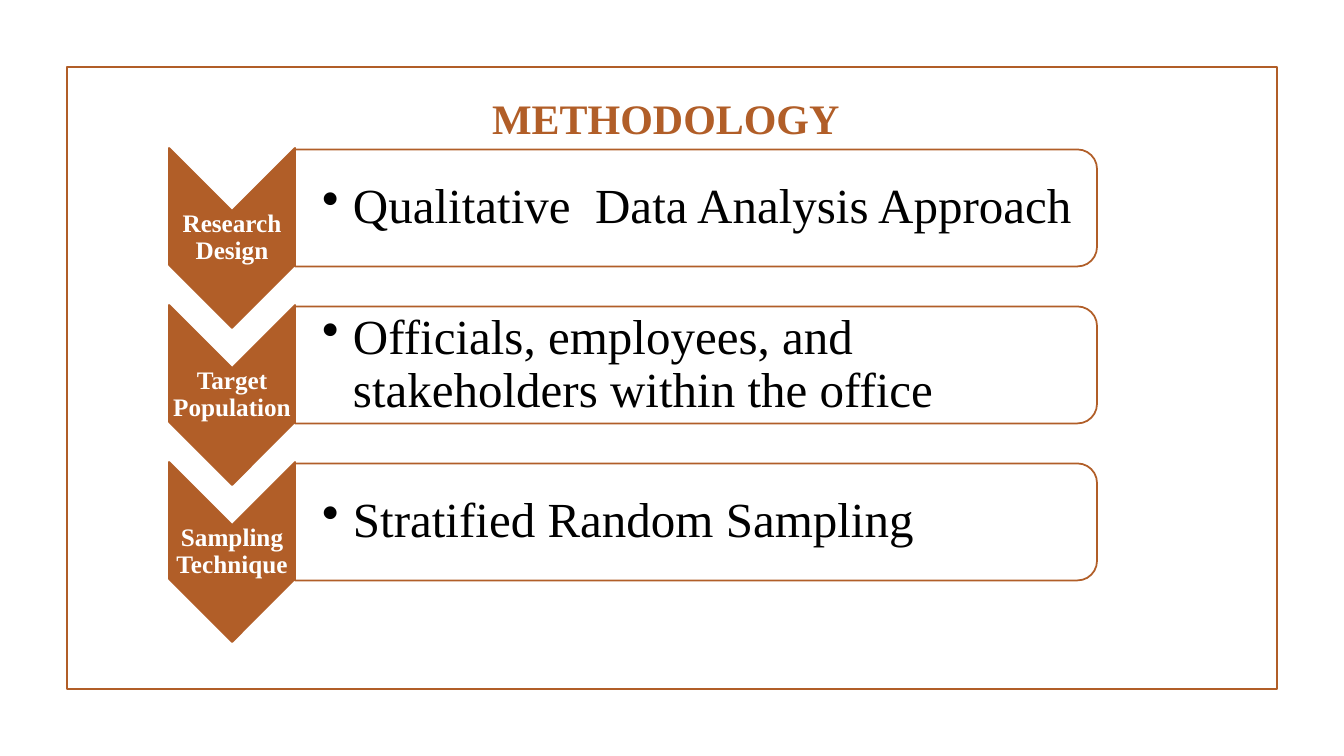
from dataclasses import dataclass

from lxml.etree import SubElement
from pptx import Presentation
from pptx.dml.color import RGBColor
from pptx.enum.shapes import MSO_SHAPE
from pptx.enum.text import MSO_ANCHOR, MSO_AUTO_SIZE, PP_ALIGN
from pptx.oxml.ns import qn
from pptx.util import Pt

TITLE = "METHODOLOGY"
STEPS = [
    ("Research Design", "Qualitative  Data Analysis Approach"),
    ("Target Population", "Officials, employees, and stakeholders within the office"),
    ("Sampling Technique", "Stratified Random Sampling"),
]


@dataclass(frozen=True)
class Theme:
    """Colours, font and type sizes of the slide."""
    accent: RGBColor = RGBColor(0xB1, 0x5E, 0x28)
    white: RGBColor = RGBColor(0xFF, 0xFF, 0xFF)
    black: RGBColor = RGBColor(0, 0, 0)
    font: str = "Times New Roman"
    title: int = 30
    label: int = 18
    body: int = 35
    line: float = 1.25


THEME = Theme()
SLIDE_SIZE = (1344, 756)
FRAME = (67, 67, 1210, 622)
TITLE_BOX = (368, 87, 591, 61)
FIRST_CENTRE, PITCH = 208, 157
COLUMN_LEFT, COLUMN_WIDTH = 169, 126
CHEVRON_LENGTH, CHEVRON_DROP = 180, 30
PANEL_LEFT, PANEL_WIDTH, PANEL_HEIGHT = 295, 802, 117
LABEL_HEIGHT, BODY_WIDTH, BODY_HEIGHT = 53, 797, 105
BODY_INSET, BULLET_INDENT = 27, 31


def px(length):
    """Turn px into EMU."""
    return round(length * 914400 / 100.8)


def add_outline(slide, kind, box, fill=None, opacity=100, turned=False):
    """Add an outlined shape that covers the box, turned by a quarter if asked."""
    left, top, width, height = box
    if turned:
        left, top = left + (width - height) / 2, top + (height - width) / 2
        width, height = height, width
    shape = slide.shapes.add_shape(kind, px(left), px(top), px(width), px(height))
    shape.rotation = 90 if turned else 0
    shape.shadow.inherit = False
    shape.line.color.rgb = THEME.accent
    shape.line.width = Pt(THEME.line)
    if fill is None:
        shape.fill.background()
    else:
        shape.fill.solid()
        shape.fill.fore_color.rgb = fill
    if opacity < 100:
        colour = shape.fill._xPr.find(qn("a:solidFill"))[0]
        SubElement(colour, qn("a:alpha"), val=str(opacity * 1000))


def write(shape, text, *, size, color, bold=False, align=PP_ALIGN.LEFT,
          spacing=0.9, inset=1, left_inset=1, bullet=False):
    """Put formatted text into a shape."""
    frame = shape.text_frame
    frame.word_wrap = True
    frame.auto_size = MSO_AUTO_SIZE.NONE
    frame.vertical_anchor = MSO_ANCHOR.MIDDLE
    frame.margin_left = px(left_inset)
    frame.margin_top = frame.margin_right = frame.margin_bottom = px(inset)
    paragraph = frame.paragraphs[0]
    paragraph.alignment = align
    paragraph.line_spacing = spacing
    if bullet:
        properties = paragraph._p.get_or_add_pPr()
        properties.set("marL", str(px(BULLET_INDENT)))
        properties.set("indent", str(-px(BULLET_INDENT)))
        SubElement(properties, qn("a:buChar"), char="•")
    run = paragraph.add_run()
    run.text = text
    run.font.name = THEME.font
    run.font.size = Pt(size)
    run.font.bold = bold
    run.font.color.rgb = color


def add_step(slide, centre, label, body):
    """Add one chevron with its label and its panel of text."""
    chevron_top = centre + CHEVRON_DROP - CHEVRON_LENGTH / 2
    add_outline(slide, MSO_SHAPE.CHEVRON,
                (COLUMN_LEFT, chevron_top, COLUMN_WIDTH, CHEVRON_LENGTH),
                THEME.accent, turned=True)
    label_box = slide.shapes.add_textbox(
        px(COLUMN_LEFT), px(centre + CHEVRON_DROP - LABEL_HEIGHT / 2),
        px(COLUMN_WIDTH), px(LABEL_HEIGHT))
    write(label_box, label, size=THEME.label, color=THEME.white, bold=True,
          align=PP_ALIGN.CENTER)
    add_outline(slide, MSO_SHAPE.ROUND_2_SAME_RECTANGLE,
                (PANEL_LEFT, centre - PANEL_HEIGHT / 2, PANEL_WIDTH, PANEL_HEIGHT),
                THEME.white, opacity=90, turned=True)
    body_box = slide.shapes.add_textbox(
        px(PANEL_LEFT), px(centre - BODY_HEIGHT / 2), px(BODY_WIDTH), px(BODY_HEIGHT))
    write(body_box, body, size=THEME.body, color=THEME.black, inset=2,
          left_inset=BODY_INSET, bullet=True)


def main():
    """Build the methodology slide."""
    presentation = Presentation()
    presentation.slide_width, presentation.slide_height = map(px, SLIDE_SIZE)
    slide = presentation.slides.add_slide(presentation.slide_layouts[5])
    add_outline(slide, MSO_SHAPE.RECTANGLE, FRAME)
    title = slide.shapes.title
    title.left, title.top, title.width, title.height = map(px, TITLE_BOX)
    write(title, TITLE, size=THEME.title, color=THEME.accent, bold=True,
          align=PP_ALIGN.CENTER, spacing=1.0, inset=5, left_inset=10)
    for index, (label, body) in enumerate(STEPS):
        add_step(slide, FIRST_CENTRE + index * PITCH, label, body)
    presentation.save("out.pptx")


if __name__ == "__main__":
    main()
